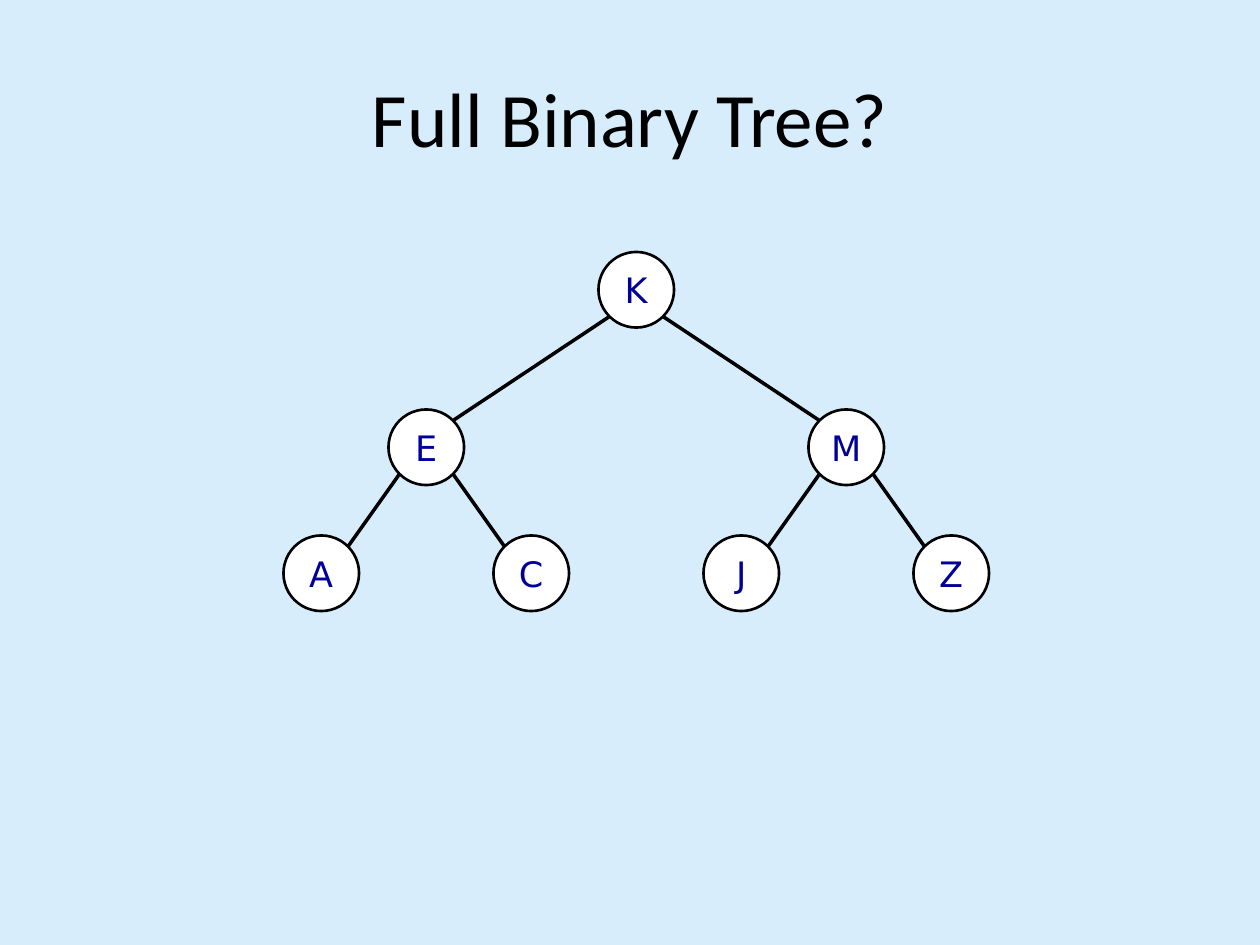
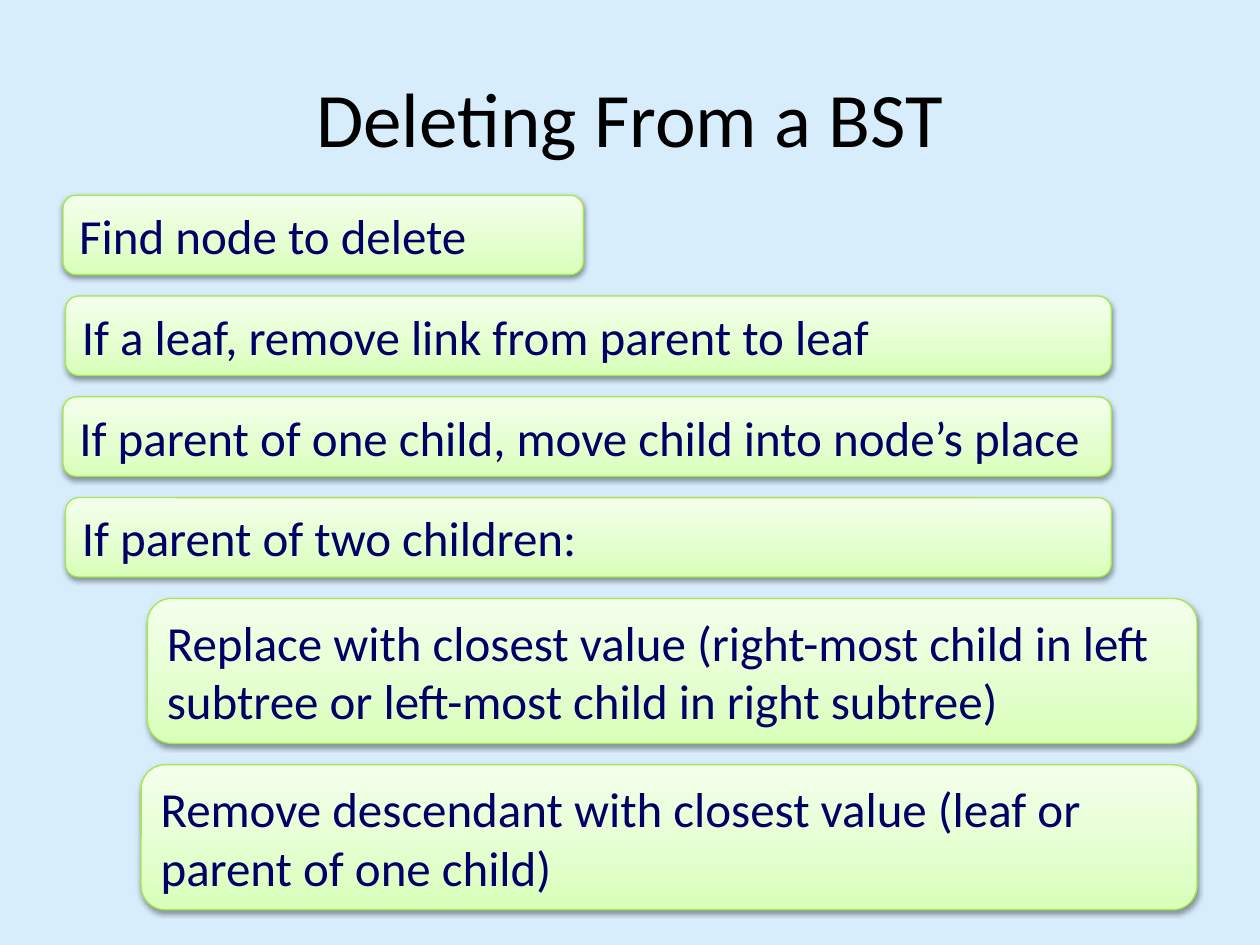
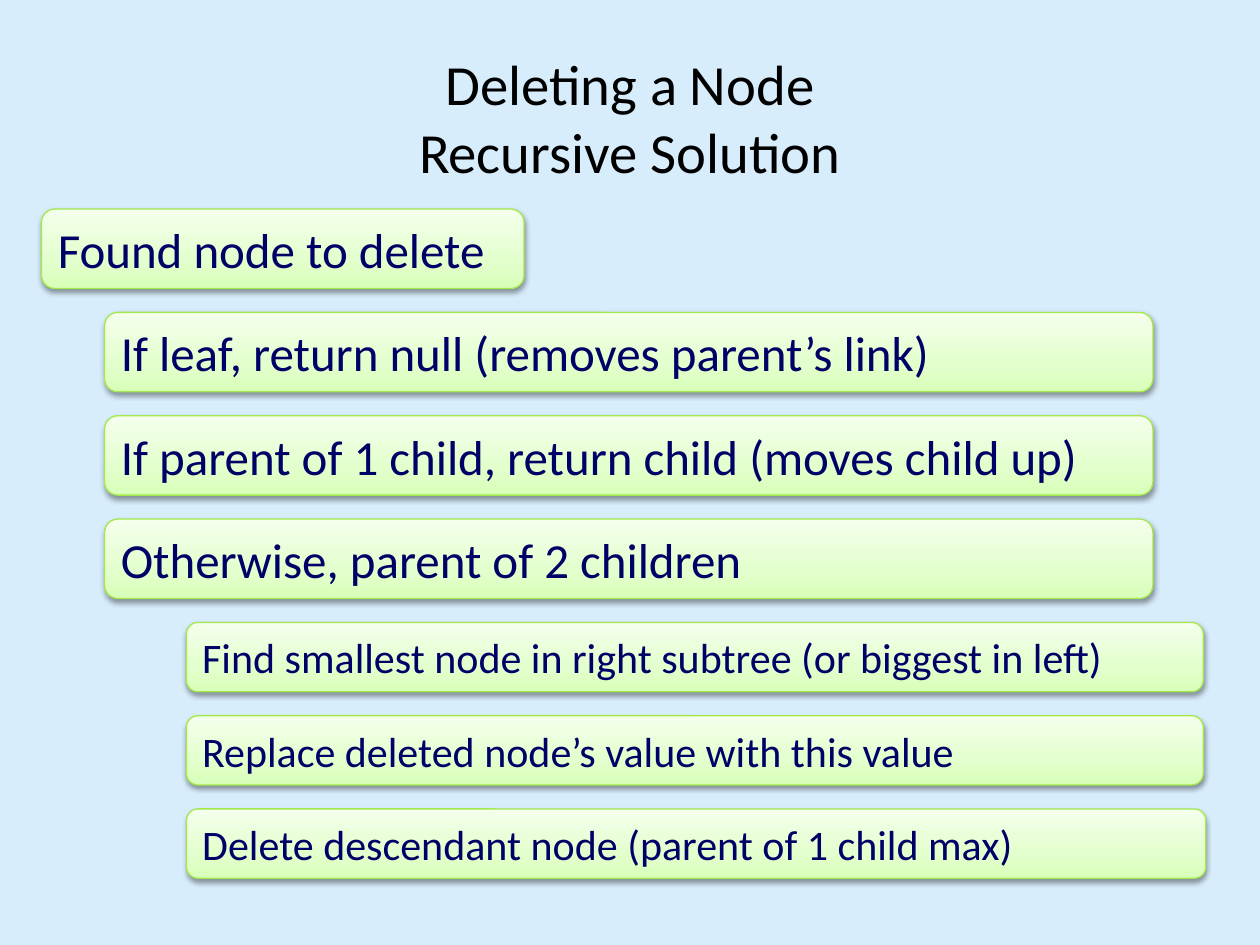
"""Three slides on binary trees: a sample tree and two ways to describe deleting a node."""
from copy import deepcopy
from math import sqrt

from lxml.etree import SubElement
from pptx import Presentation
from pptx.dml.color import RGBColor
from pptx.enum.shapes import MSO_CONNECTOR, MSO_SHAPE
from pptx.enum.text import MSO_ANCHOR, MSO_AUTO_SIZE, PP_ALIGN
from pptx.oxml.ns import qn
from pptx.util import Inches, Pt

SKY = RGBColor(0xD8, 0xED, 0xFC)
BLACK = RGBColor(0, 0, 0)
WHITE = RGBColor(0xFF, 0xFF, 0xFF)
NODE_BLUE = RGBColor(0, 0, 0x99)
NAVY = RGBColor(0, 0, 0x66)
LIME = RGBColor(0xA4, 0xE9, 0x4C)
GREENS = [
    (0, RGBColor(0xD8, 0xFF, 0xB8)),
    (0.35, RGBColor(0xE3, 0xFF, 0xCD)),
    (1, RGBColor(0xF4, 0xFF, 0xEC)),
]

prs = Presentation()
prs.slide_width = Inches(10)
prs.slide_height = Inches(7.5)


def add_text(sp, lines, size, font, color, align):
    tf = sp.text_frame
    tf.word_wrap = True
    tf.vertical_anchor = MSO_ANCHOR.MIDDLE
    p = tf.paragraphs[0]
    p.alignment = align
    for i, line in enumerate(lines):
        if i:
            p.add_line_break()
        r = p.add_run()
        r.text = line
        r.font.size = Pt(size)
        r.font.name = font
        r.font.color.rgb = color
    return tf


def add_slide(title, size):
    s = prs.slides.add_slide(prs.slide_layouts[6])
    s.background.fill.solid()
    s.background.fill.fore_color.rgb = SKY
    sp = s.shapes.add_textbox(Inches(0.5), Inches(0.3), Inches(9), Inches(1.25))
    add_text(sp, title, size, "Calibri", BLACK, PP_ALIGN.CENTER)
    return s


s = add_slide(["Full Binary Tree?"], 44)
DIAMETER = 0.6
DIAGONAL = DIAMETER / 2 / sqrt(2)
COLUMN = 5 / 6
level_tops = [2, 3.25, 4.25]
nodes = {"K": (3, 0), "E": (1, 1), "M": (5, 1), "A": (0, 2), "C": (2, 2), "J": (4, 2), "Z": (6, 2)}
edges = ["KE", "KM", "EA", "EC", "MJ", "MZ"]

centers = {}
for name, (col, level) in nodes.items():
    x, y = 2.25 + col * COLUMN, level_tops[level]
    centers[name] = (x + DIAMETER / 2, y + DIAMETER / 2)
    sp = s.shapes.add_shape(MSO_SHAPE.OVAL, Inches(x), Inches(y), Inches(DIAMETER), Inches(DIAMETER))
    sp.shadow.inherit = False
    sp.fill.solid()
    sp.fill.fore_color.rgb = WHITE
    sp.line.color.rgb = BLACK
    sp.line.width = Pt(1.5)
    tf = add_text(sp, [name], 20, "DejaVu Sans", NODE_BLUE, PP_ALIGN.CENTER)
    tf.margin_left = tf.margin_right = 0

for parent, child in edges:
    (px, py), (cx, cy) = centers[parent], centers[child]
    dx = DIAGONAL if cx > px else -DIAGONAL
    line = s.shapes.add_connector(
        MSO_CONNECTOR.STRAIGHT,
        Inches(px + dx), Inches(py + DIAGONAL), Inches(cx - dx), Inches(cy - DIAGONAL),
    )
    line.line.color.rgb = BLACK
    line.line.width = Pt(2)
    SubElement(line._element.spPr, qn("a:effectLst"))

ONE_LINE, TWO_LINES, SMALL = (0.63, 28), (1.15, 28), (0.55, 24)
card_slides = [
    (["Deleting From a BST"], 44, 1.55, 0.17, [
        ("Find node to delete", 0.5, 4.13, ONE_LINE),
        ("If a leaf, remove link from parent to leaf", 0.52, 8.3, ONE_LINE),
        ("If parent of one child, move child into node’s place", 0.5, 8.32, ONE_LINE),
        ("If parent of two children:", 0.52, 8.3, ONE_LINE),
        ("Replace with closest value (right-most child in left subtree or left-most child in right subtree)",
         1.17, 8.33, TWO_LINES),
        ("Remove descendant with closest value (leaf or parent of one child)", 1.12, 8.38, TWO_LINES),
    ]),
    (["Deleting a Node", "Recursive Solution"], 32.4, 1.66, 0.19, [
        ("Found node to delete", 0.33, 3.83, ONE_LINE),
        ("If leaf, return null (removes parent’s link)", 0.83, 8.32, ONE_LINE),
        ("If parent of 1 child, return child (moves child up)", 0.83, 8.32, ONE_LINE),
        ("Otherwise, parent of 2 children", 0.83, 8.32, ONE_LINE),
        ("Find smallest node in right subtree (or biggest in left)", 1.48, 8.07, SMALL),
        ("Replace deleted node’s value with this value", 1.48, 8.07, SMALL),
        ("Delete descendant node (parent of 1 child max)", 1.48, 8.09, SMALL),
    ]),
]

for title, title_size, top, gap, cards in card_slides:
    s = add_slide(title, title_size)
    for text, left, width, (height, size) in cards:
        sp = s.shapes.add_shape(
            MSO_SHAPE.ROUNDED_RECTANGLE, Inches(left), Inches(top), Inches(width), Inches(height)
        )
        sp.line.color.rgb = LIME
        sp.line.width = Pt(0.75)

        sp.fill.gradient()
        sp.fill.gradient_angle = 90
        stops = sp._element.spPr.find(".//" + qn("a:gsLst"))
        stops.append(deepcopy(stops[0]))
        for stop, (position, color) in zip(sp.fill.gradient_stops, GREENS):
            stop.position = position
            stop.color.rgb = color

        sp.shadow.inherit = False
        effects = sp._element.spPr.find(qn("a:effectLst"))
        shadow = SubElement(effects, qn("a:outerShdw"), blurRad="40000", dist="20000", dir="5400000", rotWithShape="0")
        black = SubElement(shadow, qn("a:srgbClr"), val=str(BLACK))
        SubElement(black, qn("a:alpha"), val="38000")

        tf = add_text(sp, [text], size, "Calibri", NAVY, PP_ALIGN.LEFT)
        tf.auto_size = MSO_AUTO_SIZE.SHAPE_TO_FIT_TEXT
        top += height + gap

prs.save("out.pptx")
